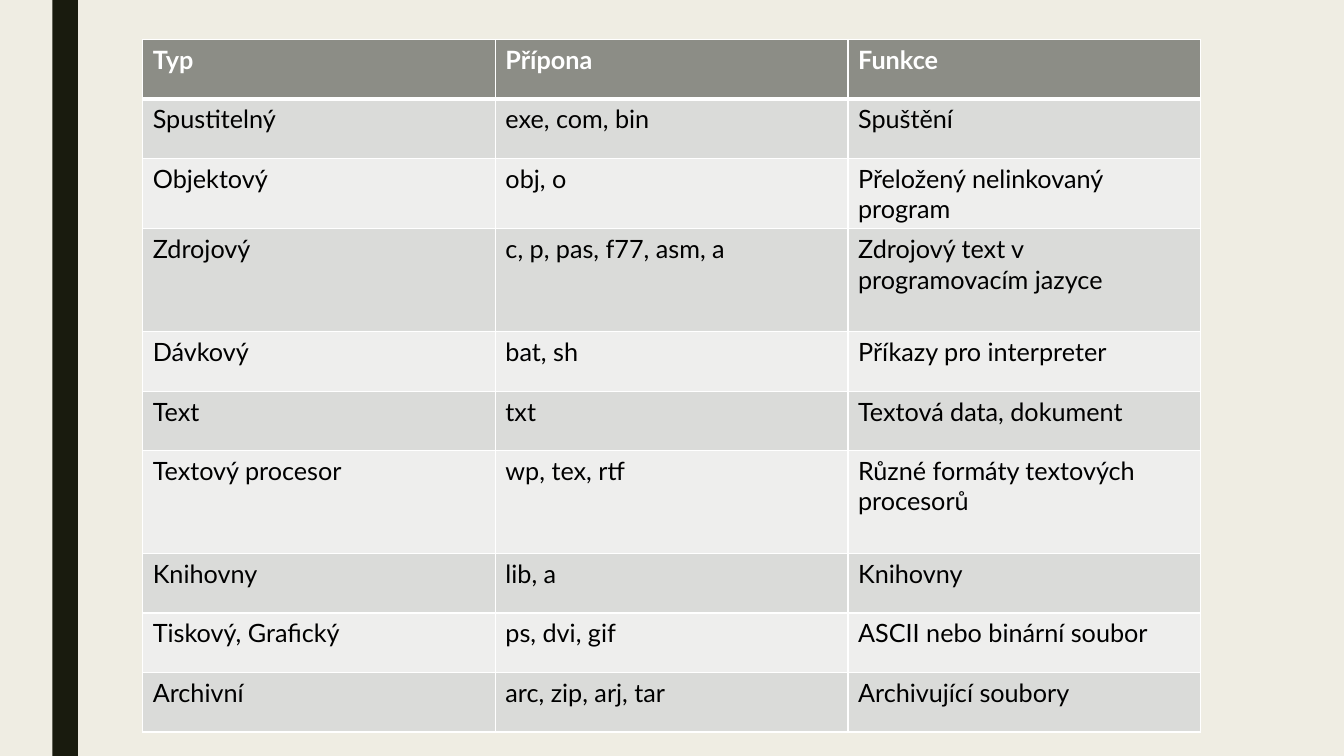
from lxml import etree
from pptx import Presentation
from pptx.dml.color import RGBColor
from pptx.enum.shapes import MSO_SHAPE
from pptx.oxml.ns import qn
from pptx.util import Inches, Pt

RECTANGLE = MSO_SHAPE.RECTANGLE

PAPER, BAR = "EFEDE3", "191B0E"
HEADER_FILL, BAND_FILLS = "8C8D86", ("DADBD9", "EEEEED")
WHITE, BLACK = "FFFFFF", "000000"
THIN, THICK = 1, 3

FILE_TYPES = [
    ("Typ", "Přípona", "Funkce"),
    ("Spustitelný", "exe, com, bin", "Spuštění"),
    ("Objektový", "obj, o", "Přeložený nelinkovaný program"),
    ("Zdrojový", "c, p, pas, f77, asm, a", "Zdrojový text v programovacím jazyce"),
    ("Dávkový", "bat, sh", "Příkazy pro interpreter"),
    ("Text", "txt", "Textová data, dokument"),
    ("Textový procesor", "wp, tex, rtf", "Různé formáty textových procesorů"),
    ("Knihovny", "lib, a", "Knihovny"),
    ("Tiskový, Grafický", "ps, dvi, gif", "ASCII nebo binární soubor"),
    ("Archivní", "arc, zip, arj, tar", "Archivující soubory"),
]
ROW_HEIGHT, TALL_HEIGHT = 7.87, 13.6
TALL_ROWS = (3, 6)


def color(hex_code):
    return RGBColor.from_string(hex_code)


class SlideBuilder:
    """Draws on one slide; lengths are percentages of its width and height."""

    font_name = "Lato"
    font_size = Pt(18)

    def __init__(self, presentation):
        self.width = presentation.slide_width
        self.height = presentation.slide_height
        self.slide = presentation.slides.add_slide(presentation.slide_layouts[6])

    def x(self, percent):
        return round(self.width * percent / 100)

    def y(self, percent):
        return round(self.height * percent / 100)

    def background(self, fill):
        self.slide.background.fill.solid()
        self.slide.background.fill.fore_color.rgb = color(fill)

    def rectangle(self, left, top, width, height, fill):
        block = self.slide.shapes.add_shape(
            RECTANGLE, self.x(left), self.y(top), self.x(width), self.y(height))
        block.shadow.inherit = False
        block.fill.solid()
        block.fill.fore_color.rgb = color(fill)
        block.line.fill.background()

    def table(self, left, top, column_width, row_heights, rows):
        columns = len(rows[0])
        table = self.slide.shapes.add_table(
            len(rows), columns, self.x(left), self.y(top),
            self.x(column_width * columns), self.y(sum(row_heights))).table
        for column in table.columns:
            column.width = self.x(column_width)
        for index, (height, texts) in enumerate(zip(row_heights, rows)):
            table.rows[index].height = self.y(height)
            for cell, text in zip(table.rows[index].cells, texts):
                self.cell(cell, text, index)

    def cell(self, cell, text, row):
        is_header = row == 0
        self.border(cell, "L", THIN)
        self.border(cell, "R", THIN)
        self.border(cell, "T", THICK if row == 1 else THIN)
        self.border(cell, "B", THICK if is_header else THIN)
        cell.fill.solid()
        cell.fill.fore_color.rgb = color(
            HEADER_FILL if is_header else BAND_FILLS[(row - 1) % 2])
        cell.text = text
        font = cell.text_frame.paragraphs[0].font
        font.name, font.size, font.bold = self.font_name, self.font_size, is_header
        font.color.rgb = color(WHITE if is_header else BLACK)

    def border(self, cell, side, points):
        """Add a white edge; must come before the cell's fill."""
        properties = cell._tc.get_or_add_tcPr()
        edge = etree.SubElement(properties, qn(f"a:ln{side}"), w=str(Pt(points)))
        fill = etree.SubElement(edge, qn("a:solidFill"))
        etree.SubElement(fill, qn("a:srgbClr"), val=WHITE)


def main():
    presentation = Presentation()
    presentation.slide_width = Inches(13.33)
    presentation.slide_height = Inches(7.5)

    builder = SlideBuilder(presentation)
    builder.background(PAPER)
    builder.rectangle(3.9, 0, 1.9, 100, BAR)
    row_heights = [TALL_HEIGHT if row in TALL_ROWS else ROW_HEIGHT
                   for row in range(len(FILE_TYPES))]
    builder.table(10.62, 5.2, 26.24, row_heights, FILE_TYPES)

    presentation.save("out.pptx")


if __name__ == "__main__":
    main()
